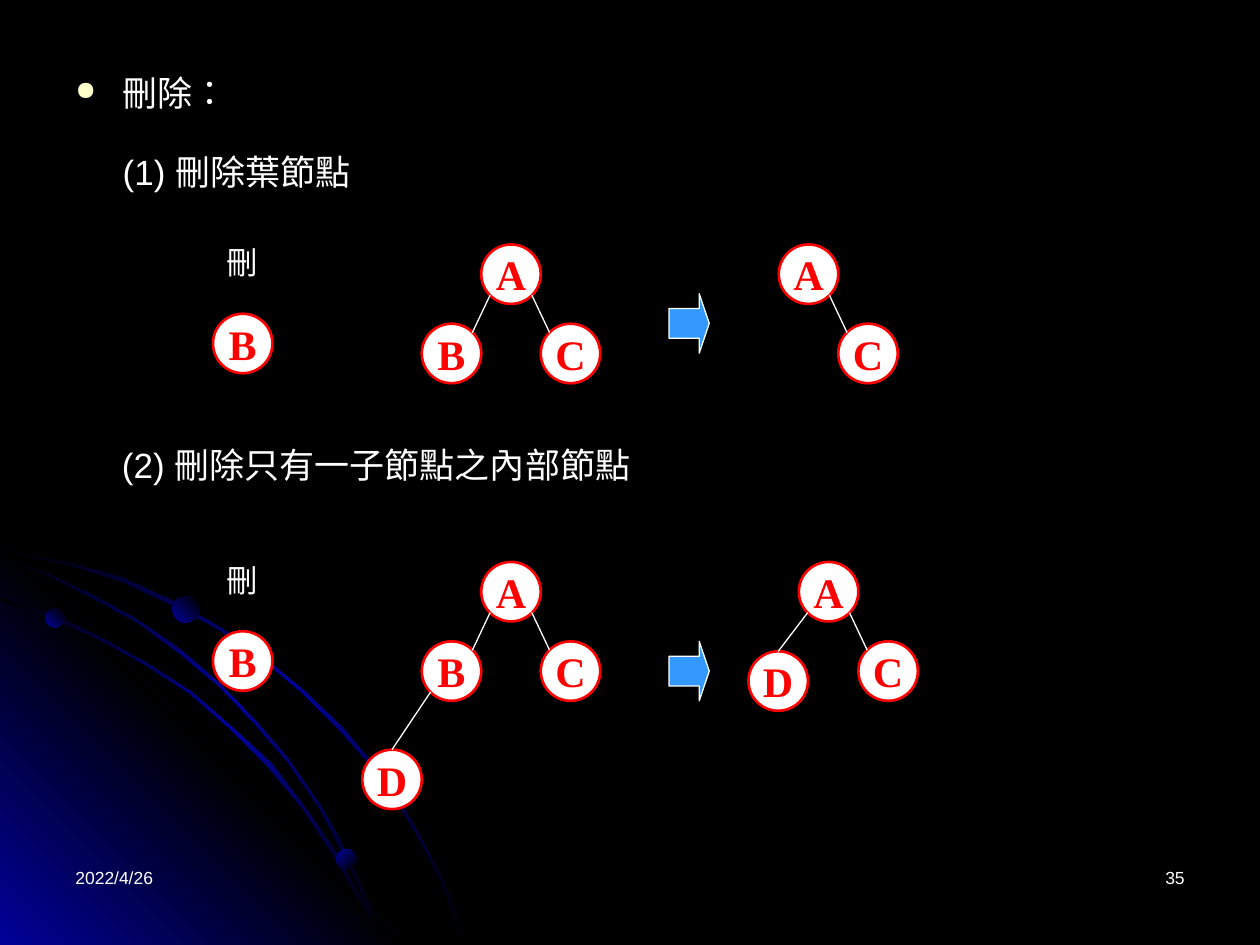
from lxml import etree
from pptx import Presentation
from pptx.dml.color import RGBColor
from pptx.enum.shapes import MSO_CONNECTOR, MSO_SHAPE
from pptx.enum.text import MSO_ANCHOR, PP_ALIGN
from pptx.oxml import parse_xml
from pptx.oxml.ns import nsdecls, qn
from pptx.util import Pt

LEFT, CENTER, RIGHT = PP_ALIGN.LEFT, PP_ALIGN.CENTER, PP_ALIGN.RIGHT
MIDDLE = MSO_ANCHOR.MIDDLE
CIRCLE, ARROW, OVAL = MSO_SHAPE.FLOWCHART_CONNECTOR, MSO_SHAPE.RIGHT_ARROW, MSO_SHAPE.OVAL
STRAIGHT = MSO_CONNECTOR.STRAIGHT

WHITE, RED, BLACK, BLUE, GLOW = "FFFFFF", "FF0000", "000000", "3399FF", "010199"
WIDTH, HEIGHT = 720, 540
NODE = 34
CORNER = NODE / 2 * 0.7  # offset of a 45 degree point on a node's rim

# text, left, top, width, height, size, alignment, left inset
TEXTS = [
    ("2022/4/26", 36, 491.8, 168, 36, 10, LEFT, 7.2),
    ("35", 516, 491.8, 168, 36, 10, RIGHT, 7.2),
    ("刪除：", 36, 37.4, 125.3, 39.6, 20, LEFT, 7.2),
    ("(1) 刪除葉節點", 63, 82.6, 149, 31, 20, LEFT, 7.2),
    ("刪", 118, 135.4, 37.4, 28.8, 18, LEFT, 11.5),
    ("(2) 刪除只有一子節點之內部節點", 62.6, 249.8, 314.6, 31, 20, LEFT, 7.2),
    ("刪", 118, 316.8, 37.4, 28.8, 18, LEFT, 11.5),
]
BULLETED = "刪除："

# Nodes as letter: (left, top); edges as parent, child, end point on the child
TREES = [
    ({"B": (121.7, 179.3)}, []),
    ({"A": (275, 139.7), "B": (241, 185), "C": (309, 185)},
     [("A", "B", "corner"), ("A", "C", "corner")]),
    ({"A": (445, 139.7), "C": (479, 185)}, [("A", "C", "corner")]),
    ({"B": (121.7, 360.7)}, []),
    ({"A": (275, 321.1), "B": (241, 366.5), "C": (309, 366.5), "D": (207, 428.4)},
     [("A", "B", "corner"), ("A", "C", "corner"), ("B", "D", "top")]),
    ({"A": (456.5, 321.1), "C": (490.5, 366.5), "D": (427.7, 372.2)},
     [("A", "C", "corner"), ("A", "D", "top")]),
]
ARROWS = [(382.3, 167.8), (382.3, 366.5)]

# Upper edges of the background arcs
OUTER_ARC = [(0, 313.2), (20, 317.5), (41, 321.8), (70.5, 330.5), (98, 343.4),
             (125.3, 357.8), (150.5, 375), (174.2, 394.6), (195.8, 416.2), (216, 440),
             (234, 466.6), (244, 484.6), (253.4, 502.6), (260.6, 520.6), (267.8, 539.3)]
INNER_ARC = [(0, 342), (29.5, 351.4), (57, 363.6), (84.2, 378.7), (109.4, 395.3),
             (132.5, 414.7), (154.8, 436.3), (174.2, 460.8), (191.5, 486.7),
             (206, 512.6), (213, 525.6), (218.2, 539.3)]
MIDDLE_ARC = [(0, 318.2), (28, 327.6), (54.7, 340.6), (80, 355), (103.7, 371.5),
              (126, 391), (147, 412.6), (165, 434.2), (183, 460), (193.7, 478.8),
              (203, 499), (211.7, 518.4), (218.2, 539.3)]
CORNER_TRIANGLE = [(231.8, 539.5), (0, 539.5), (0, 307.4)]
# left, top, diameter, gradient angle
DOTS = [(26, 347.8, 10.8, 315), (192.2, 485.3, 11.5, 45), (98.6, 340.6, 15.1, 315)]


def color(value):
    return RGBColor.from_string(value)


def fill_gradient(shape, stops, angle):
    """Fill without outline; stops are evenly spaced, the angle runs clockwise."""
    shape.shadow.inherit = False
    shape.line.fill.background()
    shape.fill.gradient()
    step = 100000 // (len(stops) - 1)
    marks = "".join(
        f'<a:gs pos="{i * step}"><a:srgbClr val="{stop}"/></a:gs>'
        for i, stop in enumerate(stops))
    old = shape.element.spPr.find(qn("a:gradFill"))
    shape.element.spPr.replace(old, parse_xml(
        f'<a:gradFill {nsdecls("a")} rotWithShape="1"><a:gsLst>{marks}</a:gsLst>'
        f'<a:lin ang="{angle * 60000}" scaled="0"/></a:gradFill>'))


def add_outline(page, points, stops, angle):
    builder = page.shapes.build_freeform(*points[0], scale=Pt(1))
    builder.add_line_segments(points[1:], close=True)
    fill_gradient(builder.convert_to_shape(), stops, angle)


def add_arc(page, edge):
    """Draw a thin band below the given upper edge."""
    lower = [(max(0, x - 1.4), min(y + 1.2, 539.3)) for x, y in edge]
    add_outline(page, edge + lower[::-1], (BLACK, GLOW, BLACK), 45)


def add_background(page):
    page.background.fill.solid()
    page.background.fill.fore_color.rgb = color(BLACK)
    add_arc(page, OUTER_ARC)
    add_outline(page, CORNER_TRIANGLE, (GLOW, BLACK, GLOW), 315)
    add_arc(page, INNER_ARC)
    add_arc(page, MIDDLE_ARC)
    for left, top, size, angle in DOTS:
        dot = page.shapes.add_shape(OVAL, Pt(left), Pt(top), Pt(size), Pt(size))
        fill_gradient(dot, (GLOW, BLACK), angle)


def write(frame, text, align, ink, **font):
    para = frame.paragraphs[0]
    para.alignment = align
    span = para.add_run()
    span.text = text
    span.font.color.rgb = color(ink)
    for name, value in font.items():
        setattr(span.font, name, value)
    span._r.get_or_add_rPr().set("lang", "zh-TW")
    return para


def add_bullet(para):
    props = para._p.get_or_add_pPr()
    props.set("marL", str(Pt(27)))
    props.set("indent", str(-Pt(27)))
    tint = etree.SubElement(props, qn("a:buClr"))
    etree.SubElement(tint, qn("a:srgbClr"), val="FFFFCC")
    etree.SubElement(props, qn("a:buSzPct"), val="75000")
    etree.SubElement(props, qn("a:buChar"), char="●")


def add_text(page, text, left, top, width, height, size, align, inset):
    box = page.shapes.add_textbox(Pt(left), Pt(top), Pt(width), Pt(height))
    frame = box.text_frame
    frame.word_wrap = True
    frame.margin_left = Pt(inset)
    if align == LEFT:
        frame.margin_right = 0
    para = write(frame, text, align, WHITE, size=Pt(size), name="Arial")
    if text == BULLETED:
        add_bullet(para)


def add_solid(page, kind, left, top, width, height, fill, line, weight):
    shape = page.shapes.add_shape(kind, Pt(left), Pt(top), Pt(width), Pt(height))
    shape.shadow.inherit = False
    shape.fill.solid()
    shape.fill.fore_color.rgb = color(fill)
    shape.line.color.rgb = color(line)
    shape.line.width = Pt(weight)
    return shape


def add_node(page, letter, left, top):
    node = add_solid(page, CIRCLE, left, top, NODE, NODE, WHITE, RED, 1.5)
    frame = node.text_frame
    settings = {"word_wrap": False, "vertical_anchor": MIDDLE}
    for name, value in settings.items():
        setattr(frame, name, value)
    write(frame, letter, CENTER, RED, size=Pt(24), name="Times New Roman", bold=True)


def add_edge(page, parent, child, end):
    x1, y1, x2, y2 = (value + NODE / 2 for value in parent + child)
    side = CORNER if x2 > x1 else -CORNER
    if end == "corner":
        x2, y2 = x2 - side, y2 - CORNER
    else:
        y2 -= NODE / 2
    points = (x1 + side, y1 + CORNER, x2, y2)
    edge = page.shapes.add_connector(STRAIGHT, *(Pt(value) for value in points))
    edge.line.color.rgb = color(WHITE)
    edge.line.width = Pt(0.75)
    etree.SubElement(edge.element.spPr, qn("a:effectLst"))


def main():
    deck = Presentation()
    deck.slide_width, deck.slide_height = Pt(WIDTH), Pt(HEIGHT)
    page = deck.slides.add_slide(deck.slide_layouts[6])
    add_background(page)
    for text in TEXTS:
        add_text(page, *text)
    for nodes, edges in TREES:
        for letter, place in nodes.items():
            add_node(page, letter, *place)
        for parent, child, end in edges:
            add_edge(page, nodes[parent], nodes[child], end)
    for left, top in ARROWS:
        arrow = add_solid(page, ARROW, left, top, 23, NODE, BLUE, WHITE, 0.75)
        arrow.adjustments[0], arrow.adjustments[1] = 0.5, 0.25
    deck.save("out.pptx")


if __name__ == "__main__":
    main()
